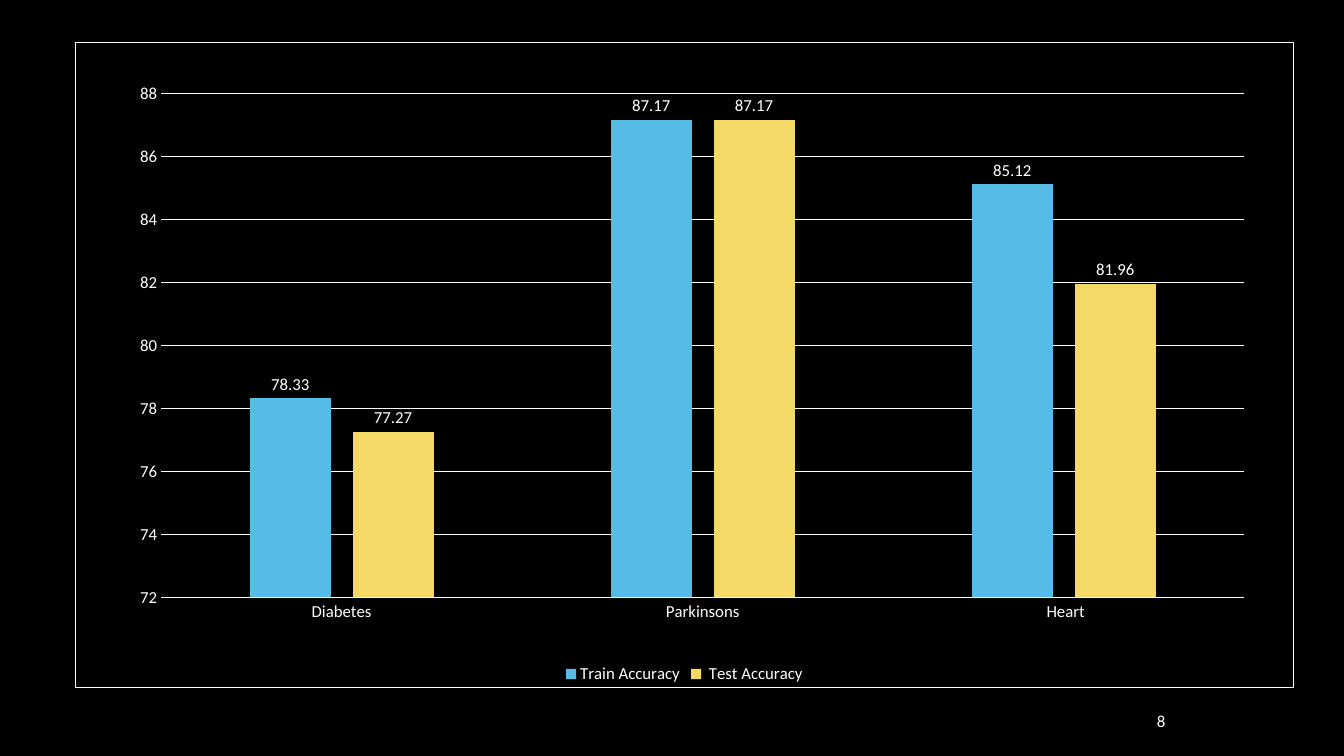
from dataclasses import dataclass

from lxml.etree import fromstring
from pptx import Presentation
from pptx.chart.data import CategoryChartData
from pptx.dml.color import RGBColor
from pptx.enum.chart import XL_CHART_TYPE, XL_LABEL_POSITION, XL_LEGEND_POSITION, XL_TICK_MARK
from pptx.enum.text import MSO_ANCHOR, PP_ALIGN
from pptx.util import Cm, Pt

NS = ('xmlns:c="http://schemas.openxmlformats.org/drawingml/2006/chart" '
      'xmlns:a="http://schemas.openxmlformats.org/drawingml/2006/main"')


@dataclass(frozen=True)
class Theme:
    background: str = "000000"
    ink: str = "FFFFFF"
    bars: tuple = ("57BCE5", "F4D968")
    font: str = "Calibri"
    size: int = 12
    line: float = 0.75


THEME = Theme()
DISEASES = ("Diabetes", "Parkinsons", " Heart")
ACCURACY = {
    "Train Accuracy": (78.33, 87.17, 85.12),
    " Test Accuracy": (77.27, 87.17, 81.96),
}


def rgb(color):
    return RGBColor.from_string(color)


def style_font(font, size=THEME.size, color=THEME.ink):
    font.name, font.size = THEME.font, Pt(size)
    font.color.rgb = rgb(color)


def style_line(line):
    line.color.rgb = rgb(THEME.ink)
    line.width = Pt(THEME.line)


def add_text(s, text, box, align=PP_ALIGN.LEFT, anchor=MSO_ANCHOR.MIDDLE, **font):
    tf = s.shapes.add_textbox(*box).text_frame
    tf.word_wrap = True
    tf.vertical_anchor = anchor
    p = tf.paragraphs[0]
    p.alignment = align
    r = p.add_run()
    r.text = text
    style_font(r.font, **font)


def frame_chart(chart):
    """Give the chart area its fill and border."""
    frame = fromstring(
        f'<c:spPr {NS}><a:solidFill><a:srgbClr val="{THEME.background}"/></a:solidFill>'
        f'<a:ln w="{Pt(THEME.line)}"><a:solidFill><a:srgbClr val="{THEME.ink}"/>'
        '</a:solidFill></a:ln></c:spPr>')
    chart._chartSpace.chart.addnext(frame)


def place_plot(chart, x, y, w, h):
    """Fix the inner plot area, in fractions of the chart."""
    area = chart._chartSpace.chart.plotArea
    for old in area.xpath("c:layout"):
        area.remove(old)
    sizes = "".join(f'<c:{tag} val="{val}"/>' for tag, val in zip("xywh", (x, y, w, h)))
    area.insert(0, fromstring(
        f'<c:layout {NS}><c:manualLayout><c:layoutTarget val="inner"/>'
        f'<c:xMode val="edge"/><c:yMode val="edge"/>{sizes}'
        '</c:manualLayout></c:layout>'))


def style_axes(chart):
    for axis in (chart.category_axis, chart.value_axis):
        axis.major_tick_mark = axis.minor_tick_mark = XL_TICK_MARK.NONE
        style_font(axis.tick_labels.font)
    style_line(chart.category_axis.format.line)
    values = chart.value_axis
    values.minimum_scale, values.maximum_scale, values.major_unit = 72, 88, 2
    values.format.line.fill.background()
    values.has_major_gridlines = True
    style_line(values.major_gridlines.format.line)


def style_bars(plot):
    plot.gap_width, plot.overlap = 219, -27
    plot.vary_by_categories = False
    for series, color in zip(plot.series, THEME.bars):
        series.format.fill.solid()
        series.format.fill.fore_color.rgb = rgb(color)
        labels = series.data_labels
        labels.show_value = True
        labels.position = XL_LABEL_POSITION.OUTSIDE_END
        style_font(labels.font)


def add_accuracy_chart(s, box):
    data = CategoryChartData()
    data.categories = DISEASES
    for name, values in ACCURACY.items():
        data.add_series(name, values)
    chart = s.shapes.add_chart(XL_CHART_TYPE.COLUMN_CLUSTERED, *box, data).chart
    chart.has_title = False
    style_font(chart.font, size=10)
    chart.has_legend = True
    chart.legend.position = XL_LEGEND_POSITION.BOTTOM
    chart.legend.include_in_layout = False
    style_font(chart.legend.font)
    style_axes(chart)
    style_bars(chart.plots[0])
    place_plot(chart, 0.07, 0.08, 0.89, 0.78)
    frame_chart(chart)


def add_accuracy_slide(prs, number):
    s = prs.slides.add_slide(prs.slide_layouts[6])
    s.background.fill.solid()
    s.background.fill.fore_color.rgb = rgb(THEME.background)
    add_text(s, str(number), (Cm(26.44), Cm(17.78), Cm(3.18), Cm(0.76)),
             align=PP_ALIGN.RIGHT)
    add_accuracy_chart(s, (Cm(1.9), Cm(1.05), Cm(30.7), Cm(16.3)))


def main():
    prs = Presentation()
    prs.slide_width, prs.slide_height = Cm(33.87), Cm(19.05)
    add_accuracy_slide(prs, 8)
    prs.save("out.pptx")


if __name__ == "__main__":
    main()
